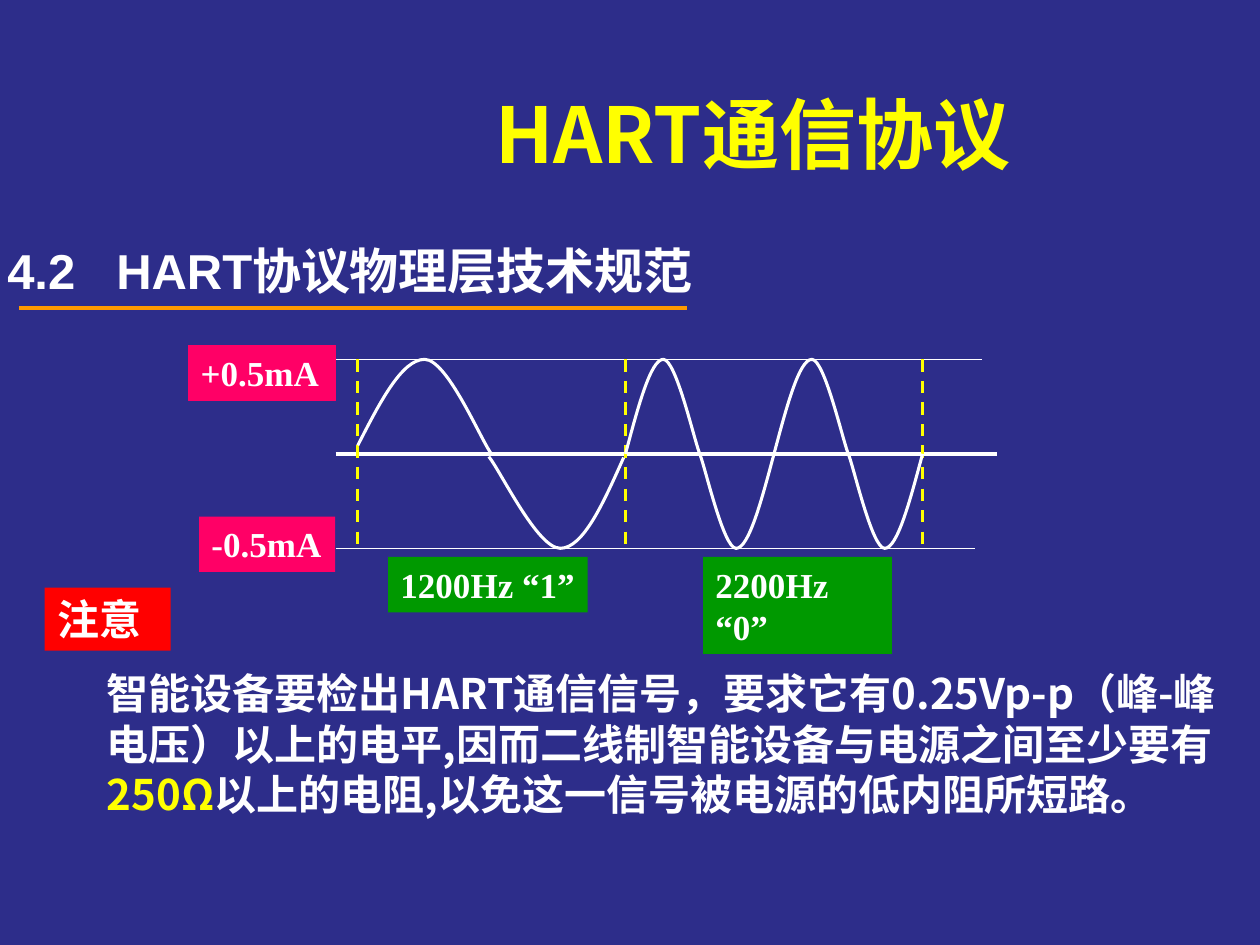
"""Build the HART physical layer slide on a grid of 100 columns by 75 rows."""
from pptx import Presentation, util as u
from pptx.dml.color import RGBColor
from pptx.enum import dml, shapes, text
from pptx.oxml.ns import qn
from lxml import etree

C = {"navy": "2D2D8A", "white": "FFFFFF", "yellow": "FFFF00", "orange": "FF9900",
     "pink": "FF0066", "green": "009900", "red": "FF0000"}
CJK, SERIF = "Noto Sans CJK JP", "Times New Roman"

prs = Presentation()
prs.slide_width, prs.slide_height = u.Inches(10), u.Inches(7.5)
CELL = prs.slide_width / 100
s = prs.slides.add_slide(prs.slide_layouts[6])
s.background.fill.solid()
s.background.fill.fore_color.rgb = RGBColor.from_string(C["navy"])


def grid(*cells):
    return [round(c * CELL) for c in cells]


def write(sp, parts, size, font, align=text.PP_ALIGN.LEFT):
    tf = sp.text_frame
    tf.word_wrap = True
    tf.vertical_anchor = text.MSO_ANCHOR.TOP
    p = tf.paragraphs[0]
    p.alignment = align
    for words, color in parts:
        r = p.add_run()
        r.text = words
        r.font.size, r.font.name, r.font.bold = u.Pt(size), font, True
        r.font.color.rgb = RGBColor.from_string(C[color])
        etree.SubElement(r.font._element, qn("a:ea")).set("typeface", CJK)
    return p


TOP, MID, LOW = 28.52, 36.02, 43.52
AMP = MID - TOP
BITS = [28.4, 49.64, 73.22]

lines = [(1.5, 24.42, 54.5, 24.42, "orange", 2.25),
         (26.64, MID, 79.1, MID, "white", 2),
         (26.64, TOP, 77.9, TOP, "white", 0.75),
         (26.64, LOW, 77.36, LOW, "white", 0.75)]
half = (BITS[2] - BITS[1]) / 4
waves = [(28.4, 39, 1, 0.09, 0, 0.01), (49.5, 38.8, -1, 0.04, 0.03, 0.04)]
for cycle in range(2):
    x = BITS[1] + 2 * half * cycle
    waves += [(x, x + half, 1, 0, 0, 0), (x + 2 * half, x + half, -1, 0, 0, 0)]
lines += [(x, TOP, x, LOW, "yellow", 1.75) for x in BITS]

for x1, y1, x2, y2, color, width in lines:
    cn = s.shapes.add_connector(shapes.MSO_CONNECTOR.STRAIGHT, *grid(x1, y1, x2, y2))
    cn.line.color.rgb = RGBColor.from_string(C[color])
    cn.line.width = u.Pt(width)
    if color == "yellow":
        cn.line.dash_style = dml.MSO_LINE.DASH
    etree.SubElement(cn._element.spPr, qn("a:effectLst"))

for x1, x2, sign, start, end, lean in waves:
    knots = [(0, start), (0.17 - lean / 2, (1 + start) / 2), (0.34 - lean, 1),
             (0.51 - lean, 1), (0.68 - lean, 1), (0.92 - lean / 4, 0.16 + end), (1, end)]
    pts = [grid(x1 + (x2 - x1) * kx, MID - sign * AMP * ky) for kx, ky in knots]
    fb = s.shapes.build_freeform(*pts[0])
    fb.add_line_segments(pts[1:], close=False)
    sp = fb.convert_to_shape()
    segments = list(sp._element.iter(qn("a:lnTo")))
    for i in range(0, len(segments), 3):
        curve = etree.SubElement(segments[i].getparent(), qn("a:cubicBezTo"))
        for segment in segments[i:i + 3]:
            curve.append(segment[0])
            segment.getparent().remove(segment)
    sp.shadow.inherit = False
    sp.fill.background()
    sp.line.color.rgb = RGBColor.from_string(C["white"])
    sp.line.width = u.Pt(1.75)

labels = [("+0.5mA", 14.95, 27.4, 11.7, 4.4, "pink", 20),
          ("-0.5mA", 15.8, 41, 10.8, 4.4, "pink", 20),
          ("1200Hz “1”", 30.8, 44.2, 15.85, 4.4, "green", 20),
          ("2200Hz “0”", 55.8, 44.2, 15, 7.7, "green", 20),
          ("注意", 3.55, 46.65, 10, 5, "red", 24)]
for words, x, y, w, h, color, size in labels:
    sp = s.shapes.add_shape(shapes.MSO_SHAPE.RECTANGLE, *grid(x, y, w, h))
    sp.shadow.inherit = False
    sp.fill.solid()
    sp.fill.fore_color.rgb = RGBColor.from_string(C[color])
    sp.line.fill.background()
    if words == "+0.5mA":
        sp.line.color.rgb = RGBColor.from_string(C[color])
        sp.line.width = u.Pt(0.75)
    write(sp, [(words, "white")], size, SERIF)

title = s.shapes.add_textbox(*grid(30.9, 6.35, 57.7, 8.4))
write(title, [("HART通信协议", "yellow")], 44, CJK, text.PP_ALIGN.CENTER)

heading = s.shapes.add_textbox(*grid(-0.4, 18.6, 60.6, 5.7))
p = write(heading, [("4.2\tHART协议物理层技术规范", "white")], 28, "Arial")
tabs = etree.SubElement(p._p.get_or_add_pPr(), qn("a:tabLst"))
etree.SubElement(tabs, qn("a:tab"), pos=str(grid(8.65)[0]), algn="l")

body = s.shapes.add_textbox(*grid(7.5, 52.5, 90.6, 17))
write(body, [("智能设备要检出HART通信信号，要求它有0.25Vp-p（峰-峰电压）以上的电平,"
              "因而二线制智能设备与电源之间至少要有", "white"),
             ("250Ω", "yellow"),
             ("以上的电阻,以免这一信号被电源的低内阻所短路。", "white")], 24, CJK)

prs.save("out.pptx")
